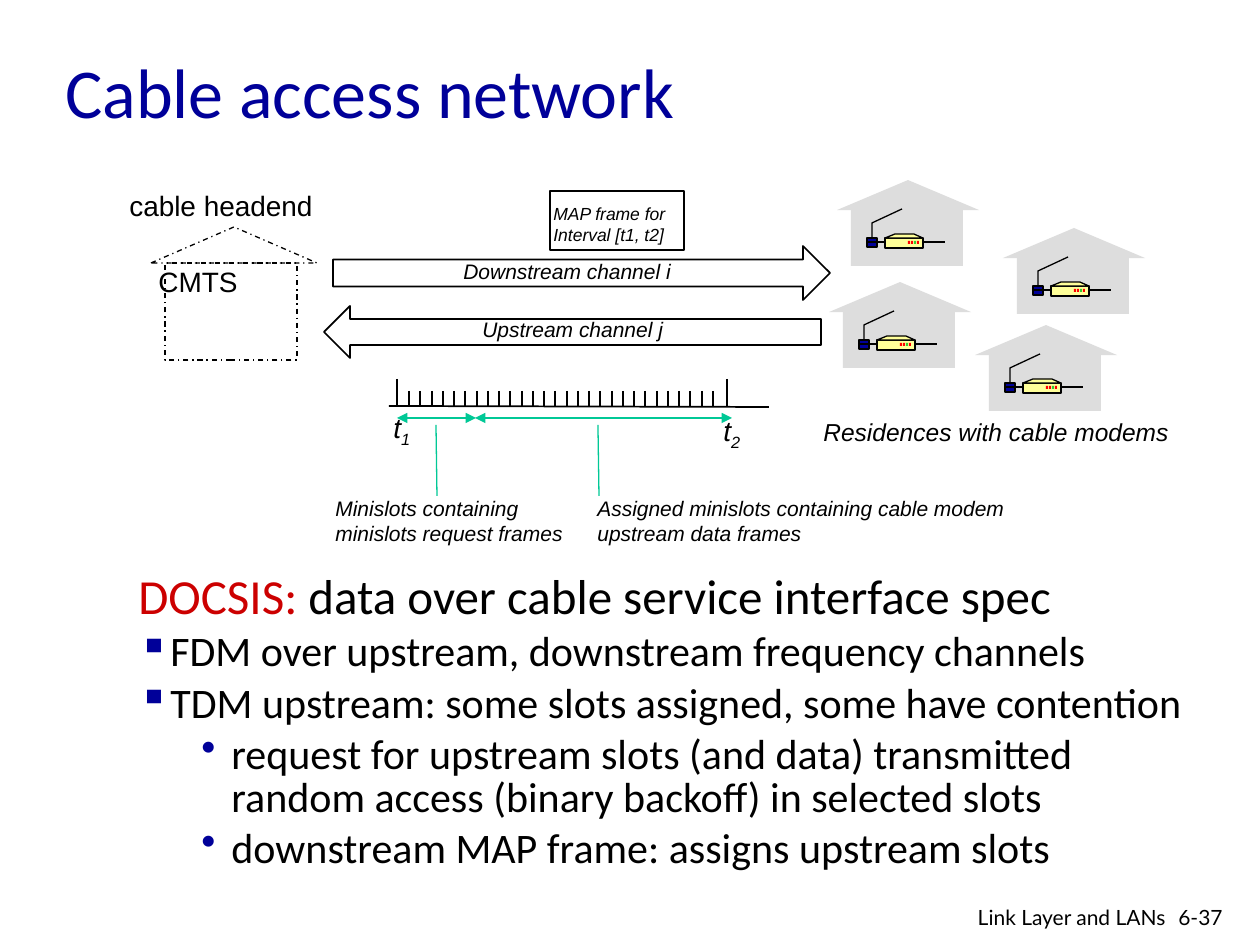
from lxml import etree
from pptx import Presentation
from pptx.dml.color import RGBColor
from pptx.enum.dml import MSO_LINE
from pptx.enum.shapes import MSO_CONNECTOR, MSO_SHAPE
from pptx.enum.text import MSO_ANCHOR, PP_ALIGN
from pptx.oxml.ns import qn
from pptx.util import Pt

PX = 914400 / 126
RECT, TRIANGLE = MSO_SHAPE.RECTANGLE, MSO_SHAPE.ISOSCELES_TRIANGLE
RIGHT_ARROW, LEFT_ARROW = MSO_SHAPE.RIGHT_ARROW, MSO_SHAPE.LEFT_ARROW
STRAIGHT = MSO_CONNECTOR.STRAIGHT
DASH_DOT = MSO_LINE.DASH_DOT
LEFT, CENTER, RIGHT = PP_ALIGN.LEFT, PP_ALIGN.CENTER, PP_ALIGN.RIGHT
TOP, MIDDLE = MSO_ANCHOR.TOP, MSO_ANCHOR.MIDDLE

BLACK = RGBColor(0, 0, 0)
NAVY = RGBColor(0x00, 0x00, 0x99)
CRIMSON = RGBColor(0xCC, 0x00, 0x00)
TEAL = RGBColor(0x00, 0xC8, 0x96)
GRAY = RGBColor(0xDD, 0xDD, 0xDD)
YELLOW = RGBColor(0xFF, 0xFF, 0x99)
RED = RGBColor(0xFF, 0x00, 0x00)
GREEN = RGBColor(0x33, 0xCC, 0x33)

HOMES = [(837, 180), (1003, 228), (975, 325), (829, 282)]
LEDS = [RED, RED, GREEN, RED]
SQUARE, DOT = ("▪", 32, -32), ("•", 93, -30)
BULLETS = [
    (SQUARE, "FDM over upstream, downstream frequency channels"),
    (SQUARE, "TDM upstream: some slots assigned, some have contention"),
    (DOT, "request for upstream slots (and data) transmitted "
          "random access (binary backoff) in selected slots"),
    (DOT, "downstream MAP frame: assigns upstream slots"),
]


def px(n):
    """Turn pixels into EMU."""
    return round(n * PX)


def style_run(r, size, font="Calibri", color=BLACK, italic=False):
    """Set the look of one run."""
    r.font.size, r.font.name = Pt(size), font
    r.font.color.rgb, r.font.italic = color, italic


def add_text(s, box, text, size, font="Arial", color=BLACK, italic=False,
             align=LEFT, anchor=TOP, spacing=None):
    """Add a text box with one look throughout."""
    tf = s.shapes.add_textbox(*map(px, box)).text_frame
    tf.word_wrap = True
    tf.vertical_anchor = anchor
    tf.text = text
    for p in tf.paragraphs:
        p.alignment = align
        p.line_spacing = spacing
        for r in p.runs:
            style_run(r, size, font, color, italic)
    return tf


def paint(sp, fill, line, width=0.75, dash=None):
    """Set fill and outline of a shape, None meaning absent."""
    sp.shadow.inherit = False
    if fill is None:
        sp.fill.background()
    else:
        sp.fill.solid()
        sp.fill.fore_color.rgb = fill
    if line is None:
        sp.line.fill.background()
    else:
        sp.line.color.rgb, sp.line.width = line, Pt(width)
        if dash is not None:
            sp.line.dash_style = dash


def add_shape(s, kind, box, fill=None, line=None, width=0.75, dash=None):
    """Add a preset shape."""
    paint(s.shapes.add_shape(kind, *map(px, box)), fill, line, width, dash)


def add_outline(s, points, fill=None, close=False):
    """Add a freeform through the given points."""
    pts = [(px(x), px(y)) for x, y in points]
    fb = s.shapes.build_freeform(*pts[0], scale=1.0)
    fb.add_line_segments(pts[1:], close=close)
    paint(fb.convert_to_shape(), fill, BLACK)


def add_line(s, x1, y1, x2, y2, color=BLACK, width=0.75, arrows=False):
    """Add a straight line, with arrowheads at both ends if asked."""
    c = s.shapes.add_connector(STRAIGHT, *map(px, (x1, y1, x2, y2)))
    c.line.color.rgb, c.line.width = color, Pt(width)
    if arrows:
        ln = c.line._get_or_add_ln()
        for end in ("a:headEnd", "a:tailEnd"):
            etree.SubElement(ln, qn(end), type="triangle")
    etree.SubElement(c._element.spPr, qn("a:effectLst"))


def add_bullet(p, char, margin, indent):
    """Give a paragraph a navy bullet and a hanging indent."""
    pPr = p._p.get_or_add_pPr()
    pPr.set("marL", str(px(margin)))
    pPr.set("indent", str(px(indent)))
    clr = etree.SubElement(pPr, qn("a:buClr"))
    etree.SubElement(clr, qn("a:srgbClr"), val=str(NAVY))
    etree.SubElement(pPr, qn("a:buChar"), char=char)


def add_body(s):
    """Add the DOCSIS heading and its bullets."""
    tf = add_text(s, (126, 568, 1080, 315), "DOCSIS: ", 28, "Calibri",
                  CRIMSON, spacing=0.85)
    r = tf.paragraphs[0].add_run()
    r.text = "data over cable service interface spec"
    style_run(r, 28)
    for bullet, text in BULLETS:
        p = tf.add_paragraph()
        p.text = text
        add_bullet(p, *bullet)
        p.line_spacing, p.space_before = 0.85, Pt(4.8)
        style_run(p.runs[0], 24)


def add_time_label(s, x, y, index):
    """Add an italic t with a subscript."""
    tf = add_text(s, (x, y, 49, 47), "t", 16, italic=True)
    r = tf.paragraphs[0].add_run()
    r.text = index
    style_run(r, 16, "Arial", italic=True)
    r.font._element.set("baseline", "-25000")


def add_timeline(s):
    """Add the minislot ruler with its spans and captions."""
    add_line(s, 389, 406, 769, 407, width=1)
    for x in (397, 727):
        add_line(s, x, 379, x, 406, width=1)
    for i in range(28):
        x = 409 + round(i * 304 / 27)
        add_line(s, x, 391, x, 406, width=1)
    add_time_label(s, 381, 404, "1")
    add_time_label(s, 711, 407, "2")
    for x1, x2 in ((397, 476), (475, 732)):
        add_line(s, x1, 418, x2, 418, TEAL, arrows=True)
    for x in (436, 598):
        add_line(s, x, 425, x + 1, 496, TEAL)
    add_text(s, (585, 489, 442, 63),
             "Assigned minislots containing cable modem\nupstream data frames",
             12, italic=True)
    add_text(s, (323, 489, 261, 63),
             "Minislots containing\nminislots request frames", 12, italic=True)


def add_channels(s):
    """Add the MAP frame box and the two channel arrows."""
    add_shape(s, RECT, (550, 191, 134, 59), line=BLACK, width=1)
    add_text(s, (541, 197, 142, 55), "MAP frame for\nInterval [t1, t2]", 10,
             italic=True, spacing=Pt(12))
    add_shape(s, RIGHT_ARROW, (333, 246, 497, 54), line=BLACK, width=1)
    add_shape(s, LEFT_ARROW, (324, 306, 497, 52), line=BLACK, width=1)
    add_text(s, (451, 252, 241, 38), "Downstream channel i", 12, italic=True)
    add_text(s, (470, 310, 213, 38), "Upstream channel j", 12, italic=True)


def add_headend(s):
    """Add the dashed cable headend building."""
    add_shape(s, RECT, (165, 263, 132, 97), line=BLACK, dash=DASH_DOT)
    add_text(s, (88, 189, 266, 39), "cable headend", 16, align=CENTER,
             spacing=0.8)
    add_text(s, (146, 258, 131, 47), "CMTS", 16)
    add_shape(s, TRIANGLE, (151, 227, 166, 36), line=BLACK, dash=DASH_DOT)


def add_home(s, x, y):
    """Add a house with a cable modem inside."""
    add_shape(s, TRIANGLE, (x, y, 142, 30), GRAY)
    add_shape(s, RECT, (x + 14, y + 27, 112, 59), GRAY)
    add_line(s, x + 86, y + 62, x + 108, y + 62)
    add_shape(s, RECT, (x + 48, y + 58, 38, 10), YELLOW, BLACK)
    for i, color in enumerate(LEDS):
        add_shape(s, RECT, (x + 71 + 3 * i, y + 61, 2, 3), color)
    lid = [(86, 58), (77, 54), (58, 54), (48, 58)]
    add_outline(s, [(x + dx, y + dy) for dx, dy in lid], YELLOW, True)
    add_shape(s, RECT, (x + 30, y + 58, 10, 9), NAVY, BLACK)
    cable = [(35, 57), (35, 43), (65, 29)]
    add_outline(s, [(x + dx, y + dy) for dx, dy in cable])
    add_line(s, x + 31, y + 62, x + 47, y + 62)


def main():
    """Build the slide."""
    prs = Presentation()
    prs.slide_width, prs.slide_height = px(1260), px(945)
    s = prs.slides.add_slide(prs.slide_layouts[6])
    add_body(s)
    add_channels(s)
    add_timeline(s)
    add_headend(s)
    for x, y in HOMES:
        add_home(s, x, y)
    add_text(s, (811, 411, 379, 43), "Residences with cable modems", 14,
             italic=True)
    add_text(s, (53, 33, 775, 115), "Cable access network", 40, "Calibri",
             NAVY, anchor=MIDDLE)
    add_text(s, (1166, 898, 76, 38), "6-37", 12, "Lato")
    add_text(s, (878, 898, 300, 33), "Link Layer and LANs", 12, "Lato",
             align=RIGHT)
    prs.save("out.pptx")


if __name__ == "__main__":
    main()
